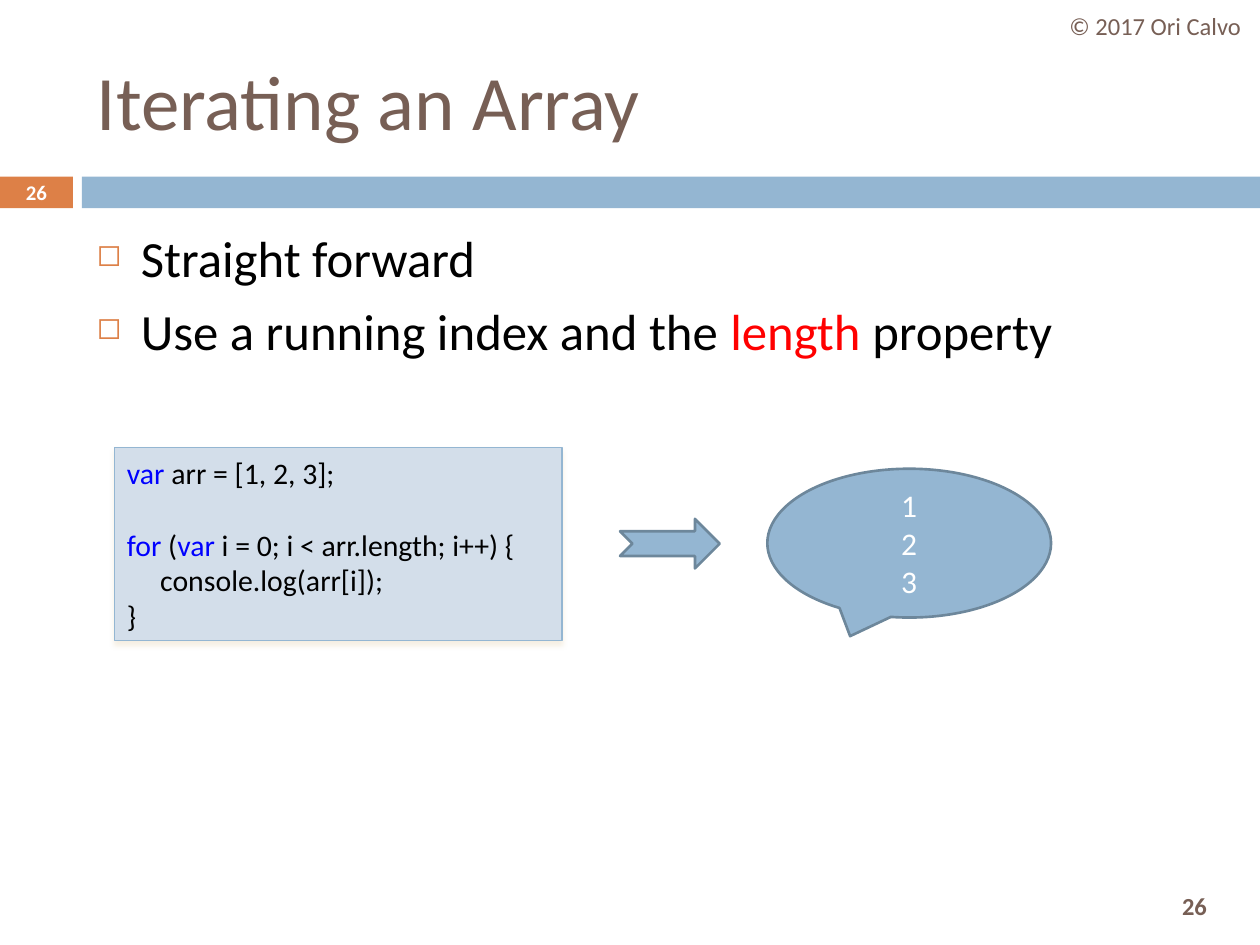
from dataclasses import dataclass

from lxml import etree
from pptx import Presentation
from pptx.dml.color import RGBColor
from pptx.enum.shapes import MSO_SHAPE
from pptx.enum.text import MSO_ANCHOR, PP_ALIGN
from pptx.oxml.ns import qn
from pptx.util import Cm, Pt

RECTANGLE = MSO_SHAPE.RECTANGLE
ARROW = MSO_SHAPE.NOTCHED_RIGHT_ARROW
CALLOUT = MSO_SHAPE.OVAL_CALLOUT
LEFT, CENTER = PP_ALIGN.LEFT, PP_ALIGN.CENTER
TOP, MIDDLE = MSO_ANCHOR.TOP, MSO_ANCHOR.MIDDLE

BROWN = RGBColor(0x77, 0x5F, 0x55)
ORANGE = RGBColor(0xDD, 0x80, 0x47)
BLUE = RGBColor(0x94, 0xB6, 0xD2)
PALE_BLUE = RGBColor(0xD3, 0xDE, 0xEA)
OUTLINE = RGBColor(0x6D, 0x87, 0x9B)
SAND = RGBColor(0xEB, 0xDD, 0xC3)
KEYWORD = RGBColor(0x00, 0x00, 0xFF)
RED = RGBColor(0xFF, 0x00, 0x00)
BLACK = RGBColor(0x00, 0x00, 0x00)
WHITE = RGBColor(0xFF, 0xFF, 0xFF)

FONT = "Calibri"
CODE_SIZE = 17
CODE_LINE = 20.75  # height of one code line in points


@dataclass(frozen=True)
class Box:
    """Position and size in centimetres."""
    left: float
    top: float
    width: float
    height: float

    def lengths(self) -> tuple:
        return Cm(self.left), Cm(self.top), Cm(self.width), Cm(self.height)


@dataclass(frozen=True)
class Piece:
    text: str
    color: RGBColor = BLACK


@dataclass(frozen=True)
class Line:
    pieces: tuple
    before: float = 0
    indent: float = 0
    bullet: bool = False


def add_bullet(paragraph) -> None:
    props = paragraph._p.get_or_add_pPr()
    props.set("marL", str(Cm(0.89)))
    props.set("indent", str(-Cm(0.89)))
    color = etree.SubElement(props, qn("a:buClr"))
    etree.SubElement(color, qn("a:srgbClr"), val=str(ORANGE))
    etree.SubElement(props, qn("a:buSzPct"), val="60000")
    etree.SubElement(props, qn("a:buChar"), char="◻")


def write(shape, lines: list, size: float, align=LEFT, anchor=MIDDLE,
          bold: bool = False) -> None:
    frame = shape.text_frame
    frame.word_wrap = True
    frame.vertical_anchor = anchor
    for index, line in enumerate(lines):
        paragraph = frame.add_paragraph() if index else frame.paragraphs[0]
        paragraph.alignment = align
        paragraph.space_before = Pt(line.before)
        if line.bullet:
            add_bullet(paragraph)
        elif line.indent:
            paragraph._p.get_or_add_pPr().set("marL", str(Cm(line.indent)))
        for piece in line.pieces:
            run = paragraph.add_run()
            run.text = piece.text
            run.font.name = FONT
            run.font.size = Pt(size)
            run.font.bold = bold
            run.font.color.rgb = piece.color


def add_text(slide, box: Box, lines: list, size: float, **style) -> None:
    write(slide.shapes.add_textbox(*box.lengths()), lines, size, **style)


def add_figure(slide, preset, box: Box, fill: RGBColor, line=None,
               line_width: float = 1.5):
    figure = slide.shapes.add_shape(preset, *box.lengths())
    figure.shadow.inherit = False
    figure.fill.solid()
    figure.fill.fore_color.rgb = fill
    if line is None:
        figure.line.fill.background()
    else:
        figure.line.color.rgb = line
        figure.line.width = Pt(line_width)
    return figure


def add_soft_shadow(figure) -> None:
    effects = figure._element.spPr.find(qn("a:effectLst"))
    shadow = etree.SubElement(
        effects, qn("a:outerShdw"), blurRad=str(Pt(3)), dist=str(Pt(2.4)),
        dir="5400000", rotWithShape="0")
    color = etree.SubElement(shadow, qn("a:srgbClr"), val=str(SAND))
    etree.SubElement(color, qn("a:alpha"), val="45000")


def main() -> None:
    deck = Presentation()
    deck.slide_width, deck.slide_height = Cm(25.4), Cm(19.05)
    slide = deck.slides.add_slide(deck.slide_layouts[5])

    # Band under the title
    add_figure(slide, RECTANGLE, Box(0, 3.56, 1.47, 0.64), ORANGE)
    add_figure(slide, RECTANGLE, Box(1.65, 3.56, 23.75, 0.64), BLUE)

    # Title
    title = slide.shapes.title
    title.left, title.top, title.width, title.height = Box(
        1.7, 0.64, 22.66, 2.74).lengths()
    write(title, [Line((Piece("Iterating an Array", BROWN),))], 44)

    # Page numbers and copyright
    add_text(slide, Box(22.91, 17.73, 2.34, 1.07),
             [Line((Piece("26", BROWN),))], 14, align=CENTER, bold=True)
    add_text(slide, Box(0, 3.53, 1.47, 0.69),
             [Line((Piece("26", WHITE),))], 11.9, align=CENTER, bold=True)
    add_text(slide, Box(21.18, 0, 4.22, 1.02),
             [Line((Piece("© 2017 Ori Calvo", BROWN),))], 14, align=CENTER)

    # Bullet points
    points = [
        (Piece("Straight forward"),),
        (Piece("Use a running index and the "), Piece("length", RED),
         Piece(" property")),
    ]
    add_text(slide, Box(1.7, 4.45, 22.66, 12.5),
             [Line(point, before=7, bullet=True) for point in points],
             29, anchor=TOP)

    # Code sample
    code = add_figure(slide, RECTANGLE, Box(2.31, 9.02, 9.02, 3.89),
                      PALE_BLUE, BLUE, 0.75)
    add_soft_shadow(code)
    write(code, [
        Line((Piece("var ", KEYWORD), Piece("arr = [1, 2, 3];"))),
        Line((Piece("for", KEYWORD), Piece(" ("), Piece("var ", KEYWORD),
              Piece("i = 0; i < arr.length; i++) {")), before=CODE_LINE),
        Line((Piece("console.log(arr[i]);"),), indent=0.67),
        Line((Piece("}"),)),
    ], CODE_SIZE)

    # Output of the code
    add_figure(slide, ARROW, Box(12.5, 10.46, 2.01, 1), BLUE, OUTLINE)
    output = add_figure(slide, CALLOUT, Box(15.47, 9.45, 5.72, 3),
                        BLUE, OUTLINE)
    write(output, [Line((Piece(value, WHITE),)) for value in "123"],
          18, align=CENTER)

    deck.save("out.pptx")


if __name__ == "__main__":
    main()
